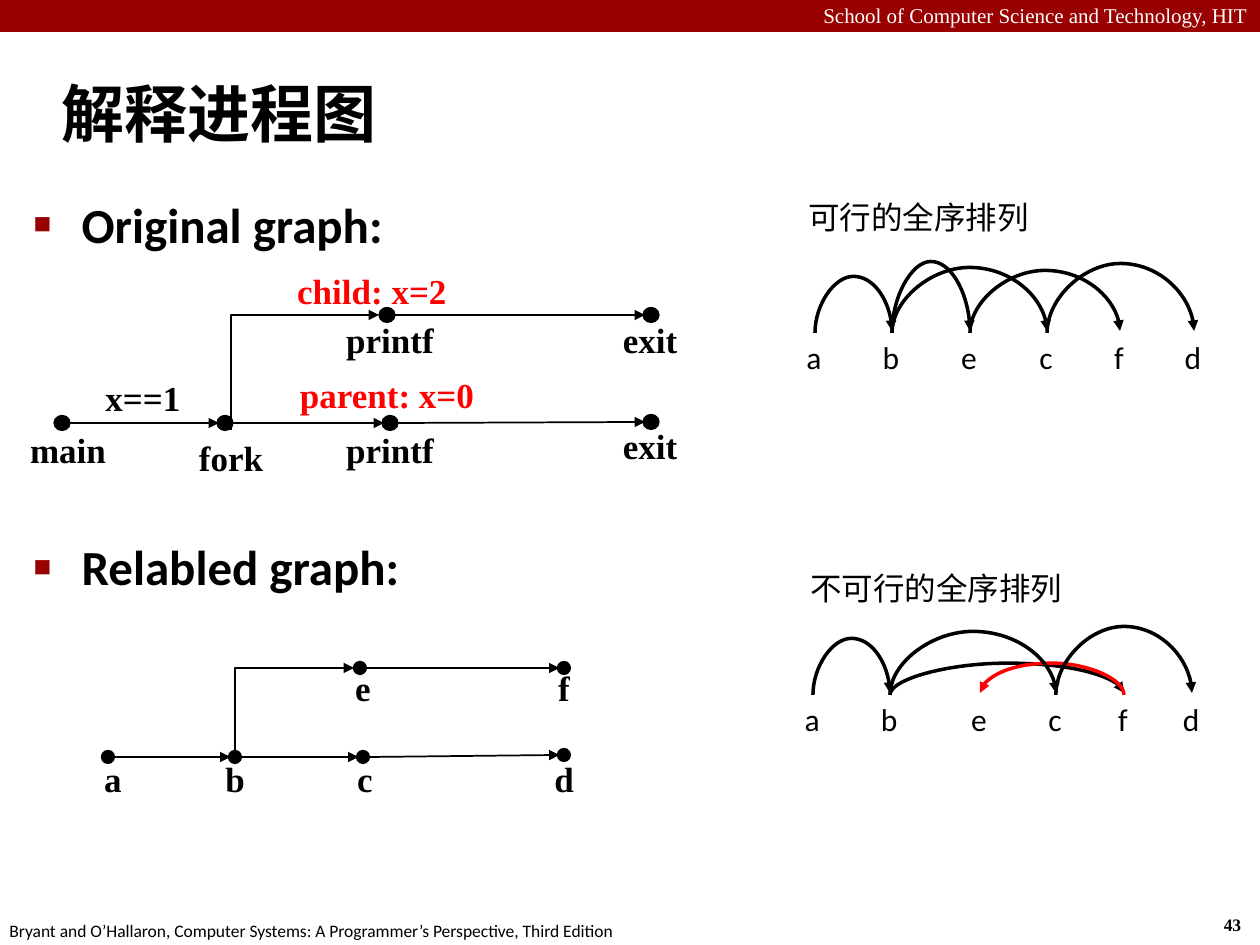
from lxml.etree import SubElement
from pptx import Presentation
from pptx.dml.color import RGBColor
from pptx.enum.shapes import MSO_CONNECTOR, MSO_SHAPE
from pptx.enum.text import MSO_ANCHOR, MSO_AUTO_SIZE, PP_ALIGN
from pptx.oxml.ns import qn
from pptx.util import Emu, Pt

BLACK, WHITE, RED, CRIMSON = "000000", "FFFFFF", "FF0000", "990000"
SERIF, SANS = "Times New Roman", "Calibri"


def px(value):
    return Emu(round(value * 914400 / 126))


def color(value):
    return RGBColor.from_string(value)


def format_runs(paragraph, size, font, fill=BLACK, bold=False):
    for run in paragraph.runs:
        run.font.size = Pt(size)
        run.font.name = font
        run.font.bold = bold
        run.font.color.rgb = color(fill)


def place(shape, left, top, width, height):
    shape.left, shape.top = px(left), px(top)
    shape.width, shape.height = px(width), px(height)


def add_text(slide, text, box, size, font, fill=BLACK, bold=False,
             align=PP_ALIGN.CENTER):
    shape = slide.shapes.add_textbox(*map(px, box))
    shape.text_frame.word_wrap = True
    shape.text_frame.text = text
    paragraph = shape.text_frame.paragraphs[0]
    paragraph.alignment = align
    format_runs(paragraph, size, font, fill, bold)


def add_solid(slide, kind, box, fill):
    shape = slide.shapes.add_shape(kind, *map(px, box))
    shape.shadow.inherit = False
    shape.fill.solid()
    shape.fill.fore_color.rgb = color(fill)
    shape.line.color.rgb = color(fill)
    shape.line.width = Pt(0.75)


def add_arrow(slide, kind, start, end, width=1, fill=BLACK):
    connector = slide.shapes.add_connector(kind, *map(px, (*start, *end)))
    connector.line.color.rgb = color(fill)
    connector.line.width = Pt(width)
    SubElement(connector.line._get_or_add_ln(), qn("a:tailEnd"), type="triangle")
    SubElement(connector._element.spPr, qn("a:effectLst"))
    return connector


def add_turned_arrow(slide, kind, start, end, width=1, fill=BLACK):
    center_x, center_y = (start[0] + end[0]) / 2, (start[1] + end[1]) / 2
    half_rise, half_span = (start[1] - end[1]) / 2, abs(end[0] - start[0]) / 2
    side = 1 if end[0] > start[0] else -1
    connector = add_arrow(
        slide, kind,
        (center_x + side * half_rise, center_y + half_span),
        (center_x - side * half_rise, center_y - half_span), width, fill)
    degrees = 90 if side > 0 else 270
    connector._element.spPr.find(qn("a:xfrm")).set("rot", str(degrees * 60000))
    return connector


def add_elbow(slide, start, end):
    connector = add_turned_arrow(slide, MSO_CONNECTOR.ELBOW, start, end)
    connector._element.spPr.find(qn("a:prstGeom")).set("prst", "bentConnector2")


def add_arc(slide, start_x, end_x, base, rise, fill):
    drop = 2
    connector = add_turned_arrow(slide, MSO_CONNECTOR.CURVE, (start_x, base),
                                 (end_x, base - drop), 2, fill)
    adjustments = connector._element.spPr.find(qn("a:prstGeom")).get_or_add_avLst()
    SubElement(adjustments, qn("a:gd"), name="adj1",
               fmla=f"val {round(rise / drop * 100000)}")


def add_ordering(slide, title, title_box, nodes, base, arcs):
    add_text(slide, title, title_box, 18, SANS, align=PP_ALIGN.LEFT)
    for letter, center in nodes.items():
        add_text(slide, letter, (center - 22, base - 1, 42, 50), 18, SANS)
    for (start, end), rise, fill in arcs:
        add_arc(slide, nodes[start], nodes[end], base, rise, fill)


def add_graph(slide, dots, size, edges, elbow, labels):
    width, height = size
    for x, y in dots:
        add_solid(slide, MSO_SHAPE.OVAL,
                  (x - width / 2, y - height / 2, width, height), BLACK)
    for start, end in edges:
        (start_x, start_y), (end_x, end_y) = dots[start], dots[end]
        add_arrow(slide, MSO_CONNECTOR.STRAIGHT, (start_x + width / 2, start_y),
                  (end_x - width / 2 + 2, end_y))
    add_elbow(slide, *elbow)
    for text, center, top, fill in labels:
        add_text(slide, text, (center - 130, top, 260, 56), 20, SERIF, fill, True)


def fill_title(shape):
    place(shape, 49, 60, 1116, 105)
    frame = shape.text_frame
    frame.text = "解释进程图"
    frame.auto_size = MSO_AUTO_SIZE.NONE
    frame.vertical_anchor = MSO_ANCHOR.MIDDLE
    frame.paragraphs[0].alignment = PP_ALIGN.LEFT
    format_runs(frame.paragraphs[0], 36, SANS, bold=True)


def add_bullet(paragraph):
    properties = paragraph._p.get_or_add_pPr()
    properties.set("marL", str(px(48)))
    properties.set("indent", str(-px(48)))
    bullet_color = SubElement(properties, qn("a:buClr"))
    SubElement(bullet_color, qn("a:srgbClr"), val=CRIMSON)
    SubElement(properties, qn("a:buSzPct"), val="60000")
    SubElement(properties, qn("a:buChar"), char="■")


def fill_body(shape):
    place(shape, 21, 188, 648, 537)
    frame = shape.text_frame
    frame.text = "Original graph:\nRelabled graph:"
    frame.auto_size = MSO_AUTO_SIZE.NONE
    for paragraph, space in zip(frame.paragraphs, (2, 162)):
        paragraph.space_before = Pt(space)
        add_bullet(paragraph)
        format_runs(paragraph, 28, SANS, bold=True)


def add_page_frame(slide):
    add_solid(slide, MSO_SHAPE.RECTANGLE, (0, 0, 1260, 31), CRIMSON)
    add_text(slide, "School of Computer Science and Technology, HIT",
             (0, -4, 1260, 38), 12, SERIF, WHITE, align=PP_ALIGN.RIGHT)
    add_text(slide, "Bryant and O’Hallaron, Computer Systems: "
             "A Programmer’s Perspective, Third Edition",
             (-3, 914, 660, 34), 10, SANS, align=PP_ALIGN.LEFT)
    add_text(slide, "43", (1209, 908, 47, 34), 10, SERIF, bold=True)


def main():
    presentation = Presentation()
    presentation.slide_width, presentation.slide_height = px(1260), px(945)
    slide = presentation.slides.add_slide(presentation.slide_layouts[1])
    add_page_frame(slide)
    fill_title(slide.shapes.title)
    fill_body(slide.placeholders[1])

    edges = [(0, 1), (1, 2), (2, 3), (4, 5)]
    add_graph(
        slide,
        [(62, 423), (225, 423), (390, 423), (651, 422), (387, 315), (651, 315)],
        (16, 15), edges, ((231, 430), (379, 315)),
        [("main", 68, 422, BLACK), ("fork", 231, 430, BLACK),
         ("printf", 390, 422, BLACK), ("printf", 390, 312, BLACK),
         ("exit", 650, 312, BLACK), ("exit", 650, 418, BLACK),
         ("x==1", 143, 370, BLACK), ("child: x=2", 372, 263, RED),
         ("parent: x=0", 387, 367, RED)])
    add_graph(
        slide,
        [(108, 757), (235, 757), (363, 757), (564, 755), (360, 668), (564, 668)],
        (13, 13), edges, ((235, 751), (354, 668)),
        [("a", 113, 751, BLACK), ("b", 235, 751, BLACK), ("c", 365, 751, BLACK),
         ("d", 564, 751, BLACK), ("e", 363, 660, BLACK), ("f", 564, 660, BLACK)])

    add_ordering(
        slide, "可行的全序排列", (796, 192, 260, 50),
        {"a": 815, "b": 892, "e": 970, "c": 1047, "f": 1120, "d": 1194}, 333,
        [("ab", 57, BLACK), ("be", 72, BLACK), ("ef", 63, BLACK),
         ("bc", 66, BLACK), ("cd", 70, BLACK)])
    add_ordering(
        slide, "不可行的全序排列", (798, 563, 290, 50),
        {"a": 813, "b": 890, "e": 980, "c": 1056, "f": 1124, "d": 1192}, 695,
        [("ab", 57, BLACK), ("bf", 32, BLACK), ("fe", 32, RED),
         ("bc", 64, BLACK), ("cd", 69, BLACK)])
    presentation.save("out.pptx")


main()
